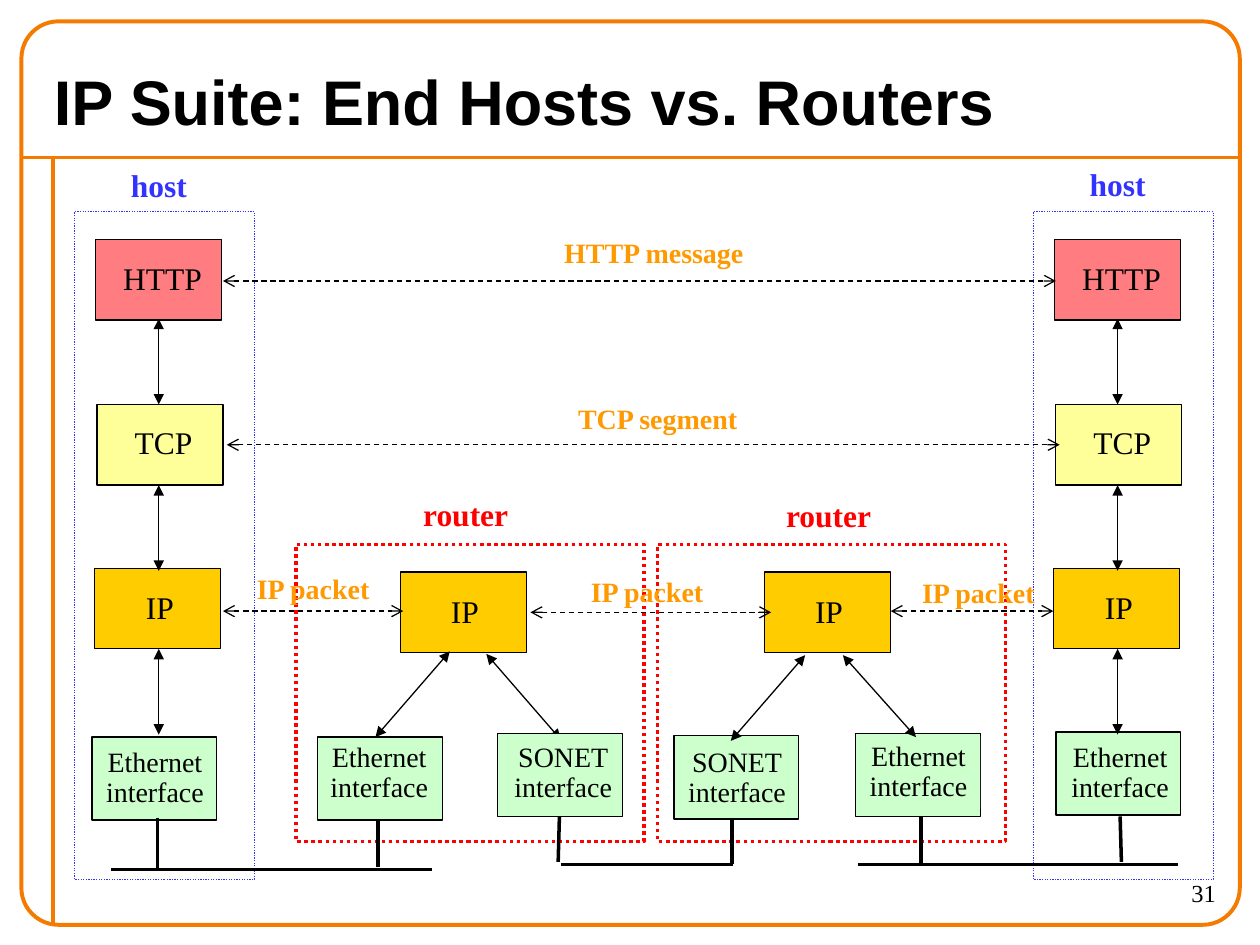
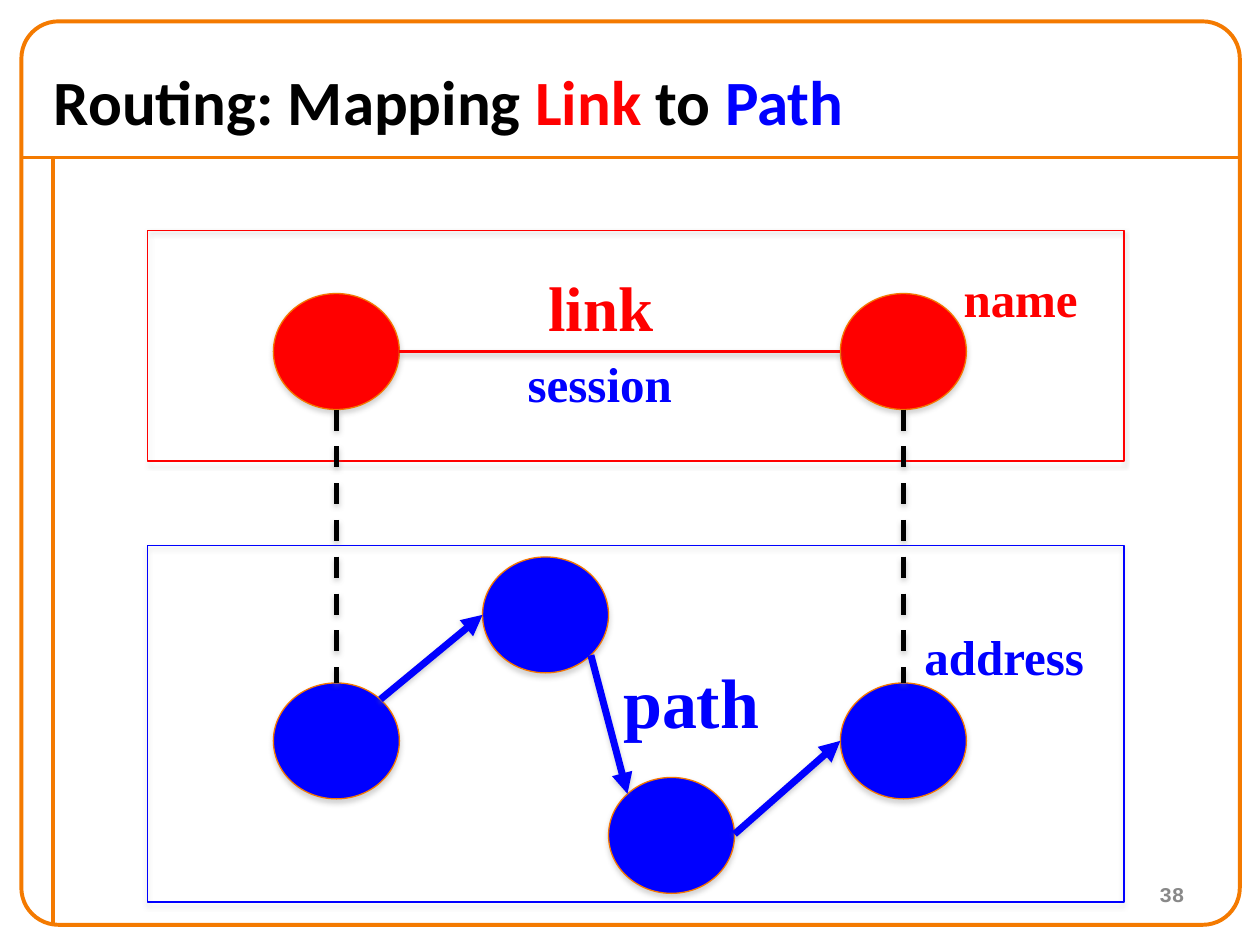
"""Builds two slides on the IP suite and on routing."""
import lxml.etree
import pptx
import pptx.dml.color
import pptx.enum.dml
import pptx.enum.shapes
import pptx.enum.text
import pptx.oxml.ns
import pptx.util

RGB = pptx.dml.color.RGBColor
BLACK = RGB(0x00, 0x00, 0x00)
RED = RGB(0xFF, 0x00, 0x00)
BLUE = RGB(0x00, 0x00, 0xFF)
VIOLET = RGB(0x33, 0x33, 0xFF)
ORANGE = RGB(0xF4, 0x7A, 0x00)
AMBER = RGB(0xFF, 0x99, 0x00)
RIM = RGB(0xF5, 0x77, 0x00)
PINK = RGB(0xFF, 0x7C, 0x80)
YELLOW = RGB(0xFF, 0xFF, 0x99)
GOLD = RGB(0xFF, 0xCC, 0x00)
GREEN = RGB(0xCC, 0xFF, 0xCC)
GREY = RGB(0x89, 0x89, 0x89)

SHAPE = pptx.enum.shapes.MSO_SHAPE
DASH = pptx.enum.dml.MSO_LINE.DASH
DOT = pptx.enum.dml.MSO_LINE.ROUND_DOT
ALIGN = pptx.enum.text.PP_ALIGN
FIT = pptx.enum.text.MSO_AUTO_SIZE
MIDDLE = pptx.enum.text.MSO_ANCHOR.MIDDLE
SERIF = "Times New Roman"
qn = pptx.oxml.ns.qn
SCALE = 9144


def px(*sizes):
    return [pptx.util.Emu(size * SCALE) for size in sizes]


class Deck:
    def __init__(self):
        self.show = pptx.Presentation()
        self.show.slide_width, self.show.slide_height = px(1000, 750)
        self.slide = None

    def page(self, title, face, number, spot, **style):
        self.slide = self.show.slides.add_slide(self.show.slide_layouts[6])
        self.line(17, 125, 983, 125, ORANGE, 2.25)
        self.line(42, 125, 42, 733, ORANGE, 2.25)
        edge = self.shape(SHAPE.ROUNDED_RECTANGLE, 17, 17, 967, 717, ORANGE, 2.25)
        edge.adjustments[0] = 0.041
        frame = self.frame(33, 42, 882, 75, wrap=True)
        frame.vertical_anchor = MIDDLE
        for words, color in title:
            run = frame.paragraphs[0].add_run()
            run.text = words
            self.ink(run, 36, color, True, face)
        self.text(*spot, number, align=ALIGN.RIGHT, wrap=True, **style)

    def shape(self, kind, x, y, w, h, color=BLACK, width=0.75, fill=None,
              dash=None, shade=False):
        shape = self.slide.shapes.add_shape(kind, *px(x, y, w, h))
        shape.shadow.inherit = False
        if fill is None:
            shape.fill.background()
        else:
            shape.fill.solid()
            shape.fill.fore_color.rgb = fill
        self.stroke(shape, color, width, dash)
        if shade:
            self.shade(shape._element.spPr.find(qn("a:effectLst")), 1.8, 35)
        return shape

    def line(self, x1, y1, x2, y2, color=BLACK, width=0.75, dash=None,
             head=None, tail=None, shade=False):
        line = self.slide.shapes.add_connector(
            pptx.enum.shapes.MSO_CONNECTOR.STRAIGHT, *px(x1, y1, x2, y2))
        self.stroke(line, color, width, dash)
        props = line._element.spPr
        for tag, end in (("a:headEnd", head), ("a:tailEnd", tail)):
            if end:
                lxml.etree.SubElement(props.find(qn("a:ln")), qn(tag), type=end)
        effect = lxml.etree.SubElement(props, qn("a:effectLst"))
        if shade:
            self.shade(effect, 1.6, 38)

    def stroke(self, shape, color, width, dash):
        shape.line.color.rgb = color
        shape.line.width = pptx.util.Pt(width)
        if dash:
            shape.line.dash_style = dash

    def shade(self, effect, far, alpha):
        outer = lxml.etree.SubElement(
            effect, qn("a:outerShdw"), blurRad=str(int(pptx.util.Pt(3.1))),
            dist=str(int(pptx.util.Pt(far))), dir="5400000", rotWithShape="0")
        color = lxml.etree.SubElement(outer, qn("a:srgbClr"), val="808080")
        lxml.etree.SubElement(color, qn("a:alpha"), val=str(alpha * 1000))

    def frame(self, x, y, w, h, wrap=False, fill=None):
        box = self.slide.shapes.add_textbox(*px(x, y, w, h))
        if fill is not None:
            box.fill.solid()
            box.fill.fore_color.rgb = fill
        frame = box.text_frame
        frame.word_wrap = wrap
        frame.auto_size = FIT.NONE if wrap else FIT.SHAPE_TO_FIT_TEXT
        return frame

    def text(self, x, y, w, h, words, size=18, color=BLACK, bold=False,
             font=SERIF, align=ALIGN.LEFT, wrap=False, fill=None, space=None):
        frame = self.frame(x, y, w, h, wrap, fill)
        frame.text = words
        for para in frame.paragraphs:
            para.alignment = align
            para.line_spacing = space
            for run in para.runs:
                self.ink(run, size, color, bold, font)

    def ink(self, run, size, color, bold, font):
        run.font.size = pptx.util.Pt(size)
        run.font.color.rgb = color
        run.font.bold = bold
        run.font.name = font

    def layer(self, x, y, fill):
        self.shape(SHAPE.RECTANGLE, x, y, 100, 64, fill=fill)

    def port(self, x, y, name, dx, dy, fill=None):
        self.shape(SHAPE.RECTANGLE, x, y, 99, 66, fill=GREEN)
        self.text(x + dx, y + dy, 98, 58, name + "\ninterface", 16,
                  align=ALIGN.CENTER, space=0.9, fill=fill)

    def link(self, *ends):
        self.line(*ends, head="triangle", tail="triangle")

    def host(self, x, top, port):
        self.layer(x + 76, 190, PINK)
        self.layer(x + 77, 321, YELLOW)
        self.layer(x + 75, 451, GOLD)
        self.text(x + 88, 201, 83, 40, "HTTP")
        self.text(x + 97, 331, 66, 40, "TCP")
        self.text(x + 106, 462, 42, 40, "IP")
        self.port(*port)
        for y in (253, 385, 515):
            self.link(x + 126, y, x + 126, y + 68)
        self.shape(SHAPE.RECTANGLE, x + 59, 168, 143, 530, VIOLET, dash=DOT)
        self.text(x + 94, top, 65, 40, "host", color=VIOLET, bold=True)

    def router(self, x, name_x, name_y):
        self.shape(SHAPE.RECTANGLE, x, 432, 276, 236, RED, 2, dash=DOT)
        self.text(name_x, name_y, 88, 40, "router", color=RED, bold=True)

    def flow(self, x1, x2, y, words, x, top, w):
        self.line(x1, y, x2, y, dash=DASH, head="arrow", tail="arrow")
        self.text(x, top, w, 37, words, 16, AMBER, True)


def suite(deck):
    deck.page([("IP Suite: End Hosts vs. Routers", BLACK)], "Arial",
              "31", (875, 692, 100, 42), size=14)
    deck.host(0, 127, (73, 585, "Ethernet", 1, 4))
    deck.host(761, 126, (838, 581, "Ethernet", 2, 4))

    for x in (318, 607):
        deck.layer(x, 454, GOLD)
        deck.text(x + 30, 465, 42, 40, "IP")
    deck.port(252, 585, "Ethernet", 0, 0)
    deck.port(679, 582, "Ethernet", 1, 2, GREEN)
    deck.link(357, 517, 298, 585)
    deck.link(386, 519, 445, 587)
    deck.port(395, 582, "SONET", 3, 3)
    deck.port(535, 584, "SONET", 1, 5)
    deck.link(639, 520, 580, 588)
    deck.link(669, 520, 727, 585)
    deck.router(235, 326, 388)
    deck.router(522, 614, 389)

    for wire in ((125, 649, 125, 690), (300, 652, 300, 688), (88, 690, 343, 690),
                 (444, 648, 443, 684), (581, 649, 581, 686), (445, 686, 582, 686),
                 (731, 648, 731, 687), (889, 648, 890, 684), (681, 686, 935, 686)):
        deck.line(*wire, width=2)

    deck.flow(177, 838, 223, "HTTP message", 438, 182, 164)
    deck.flow(180, 841, 353, "TCP segment", 449, 314, 148)
    deck.flow(177, 320, 485, "IP packet", 194, 449, 111)
    deck.flow(421, 612, 486, "IP packet", 459, 451, 111)
    deck.flow(707, 836, 485, "IP packet", 722, 452, 111)


def routing(deck):
    deck.page([("Routing: Mapping ", BLACK), ("Link ", RED), ("to ", BLACK),
               ("Path", BLUE)], "Calibri", "38", (717, 695, 233, 40),
              size=12, color=GREY, bold=True, font="Courier New")
    for x, y, fill in ((217, 233, RED), (667, 233, RED), (217, 542, BLUE),
                       (383, 442, BLUE), (483, 617, BLUE), (667, 542, BLUE)):
        deck.shape(SHAPE.OVAL, x, y, 100, 92, RIM, fill=fill, shade=True)
    for hop in ((302, 555, 383, 488), (469, 520, 498, 630), (583, 662, 667, 588)):
        deck.line(*hop, BLUE, 4, tail="triangle", shade=True)
    for y, h, color in ((183, 183, RED), (433, 283, BLUE)):
        deck.shape(SHAPE.RECTANGLE, 117, y, 775, h, color, shade=True)
    deck.line(317, 279, 667, 279, RED, 2, shade=True)
    for x in (267, 717):
        deck.line(x, 325, x, 542, BLACK, 3, DASH, shade=True)
    for x, y, w, h, words, size, color in (
            (424, 208, 106, 71, "link", 36, RED),
            (408, 276, 136, 57, "session", 28, BLUE),
            (484, 518, 129, 77, "path", 40, BLUE),
            (754, 208, 112, 57, "name", 28, RED),
            (723, 492, 148, 57, "address", 28, BLUE)):
        deck.text(x, y, w, h, words, size, color, True, align=ALIGN.CENTER)


def main():
    deck = Deck()
    suite(deck)
    routing(deck)
    deck.show.save("out.pptx")


if __name__ == "__main__":
    main()
